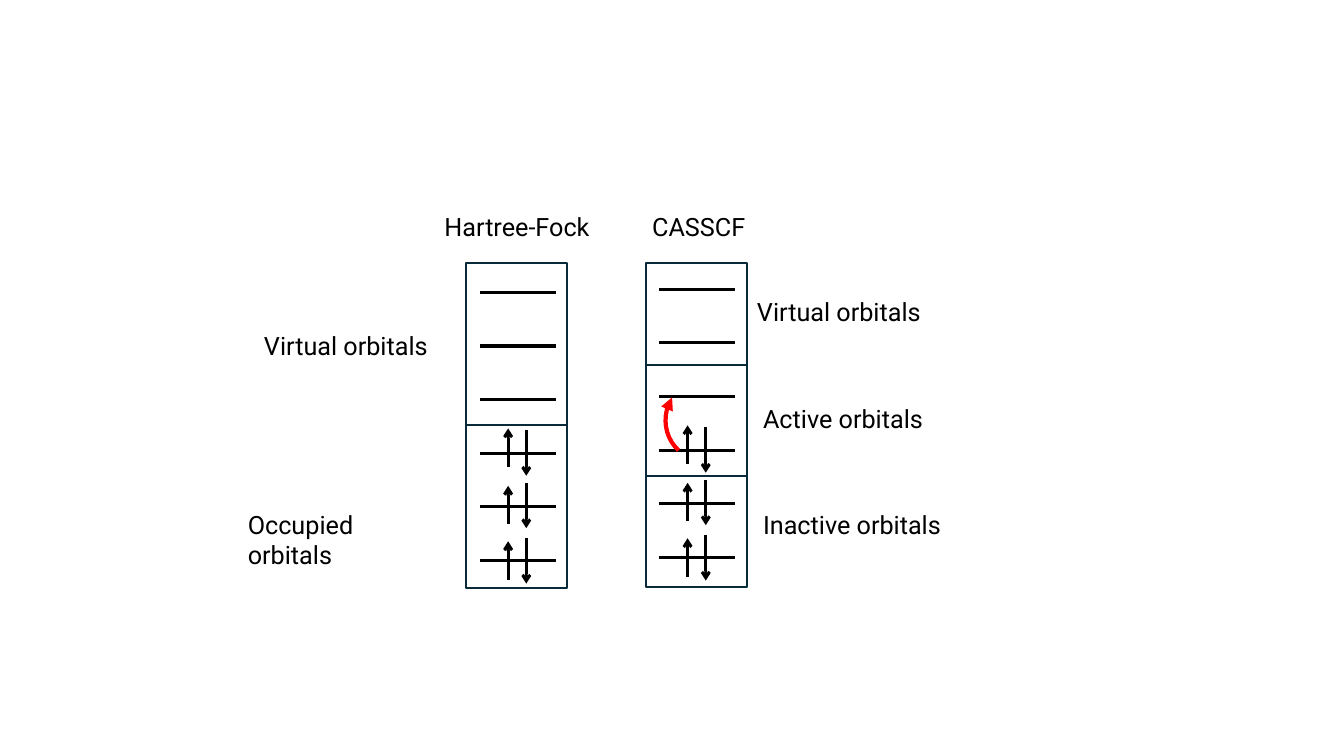
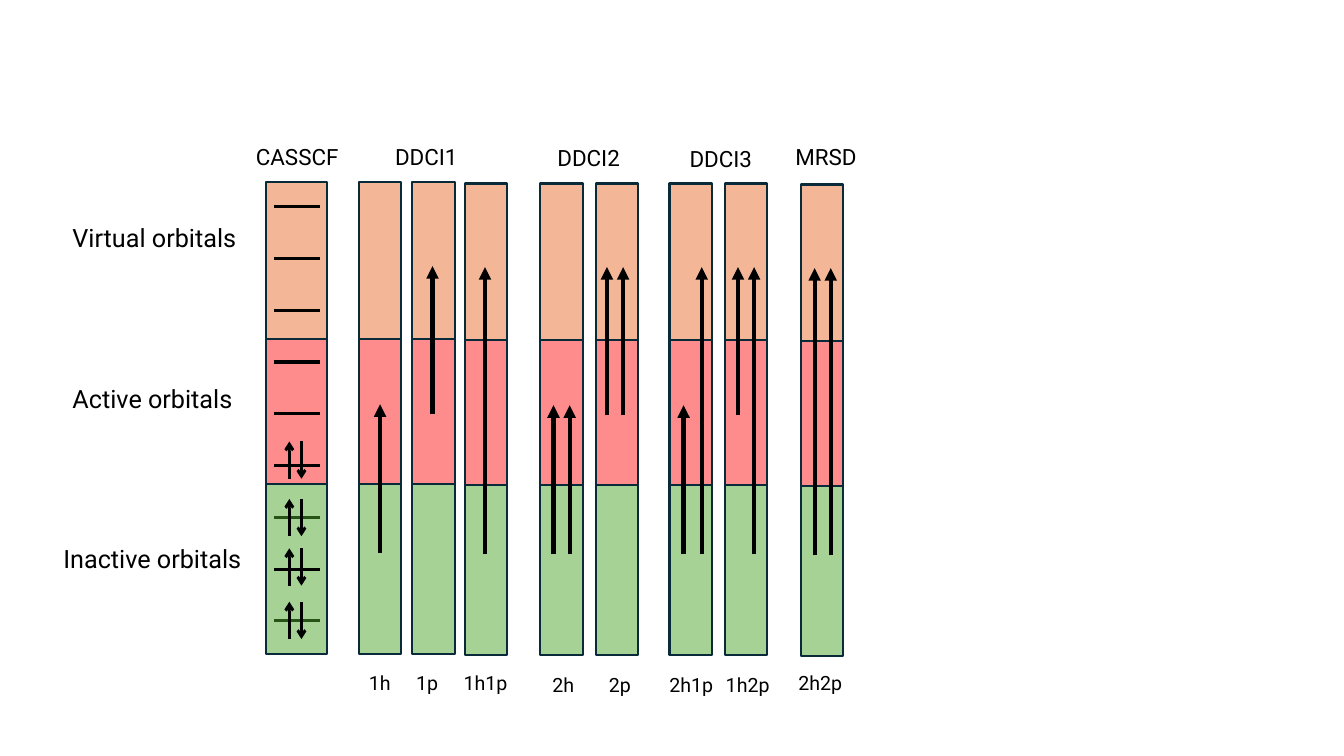
from lxml import etree
from pptx import Presentation
from pptx.dml.color import RGBColor
from pptx.enum.shapes import MSO_CONNECTOR, MSO_SHAPE
from pptx.enum.text import MSO_AUTO_SIZE
from pptx.oxml.ns import qn
from pptx.util import Inches, Pt

STRAIGHT = MSO_CONNECTOR.STRAIGHT
RECTANGLE = MSO_SHAPE.RECTANGLE
ARC = MSO_SHAPE.ARC
FIT_TEXT = MSO_AUTO_SIZE.SHAPE_TO_FIT_TEXT

FONT = "Roboto"
COLORS = {
    "ink": "000000",
    "frame": "092A39",
    "excitation": "FF0000",
    "virtual": "E97132",
    "active": "FF0000",
    "inactive": "4EA72E",
}
OPACITY = {"virtual": 50, "active": 45, "inactive": 50}
SPACES = [(1.55, "virtual"), (1.44, "active"), (1.69, "inactive")]

INACTIVE, ACTIVE_START, ACTIVE_END, VIRTUAL = 3.68, 2.3, 2.2, 0.83
HOLE = (INACTIVE, ACTIVE_END)
PARTICLE = (ACTIVE_START, VIRTUAL)
HOLE_PARTICLE = (INACTIVE, VIRTUAL)

HEADINGS = [
    ("CASSCF", 2.44, 1.37, 1.13),
    ("DDCI1", 3.82, 1.37, 0.86),
    ("DDCI2", 5.43, 1.38, 1.49),
    ("DDCI3", 6.74, 1.39, 1.49),
    ("MRSD", 7.79, 1.37, 1.49),
]
EXCITATIONS = [
    ("1h", 3.56, 1.81, 3.56, 6.61, [(0.21, HOLE)]),
    ("1p", 4.09, 1.81, 4.03, 6.61, [(0.2, PARTICLE)]),
    ("1h1p", 4.61, 1.82, 4.5, 6.61, [(0.2, HOLE_PARTICLE)]),
    ("2h", 5.36, 1.82, 5.38, 6.63, [(0.13, HOLE), (0.29, HOLE)]),
    ("2p", 5.91, 1.82, 5.94, 6.63, [(0.11, PARTICLE), (0.27, PARTICLE)]),
    ("2h1p", 6.64, 1.82, 6.54, 6.63, [(0.14, HOLE), (0.32, HOLE_PARTICLE)]),
    ("1h2p", 7.19, 1.82, 7.1, 6.63, [(0.13, PARTICLE), (0.29, HOLE_PARTICLE)]),
    ("2h2p", 7.94, 1.83, 7.82, 6.61, [(0.14, HOLE_PARTICLE), (0.3, HOLE_PARTICLE)]),
]


def color(name):
    return RGBColor.from_string(COLORS[name])


def set_arrowhead(line, kind):
    etree.SubElement(line._get_or_add_ln(), qn("a:tailEnd"), type=kind)


def add_line(shapes, x1, y1, x2, y2, weight, head=None):
    connector = shapes.add_connector(
        STRAIGHT, Inches(x1), Inches(y1), Inches(x2), Inches(y2))
    connector.line.color.rgb = color("ink")
    connector.line.width = Pt(weight)
    if head:
        set_arrowhead(connector.line, head)
    etree.SubElement(connector._element.spPr, qn("a:effectLst"))


def add_label(slide, text, left, top, width, size=18):
    label = slide.shapes.add_textbox(
        Inches(left), Inches(top), Inches(width), Inches(size / 60 + 0.1))
    frame = label.text_frame
    frame.word_wrap = True
    frame.auto_size = FIT_TEXT
    run = frame.paragraphs[0].add_run()
    run.text = text
    run.font.name = FONT
    run.font.size = Pt(size)
    run.font.color.rgb = color("ink")


def add_stack(shapes, left, top, width, spaces):
    for height, space in spaces:
        box = shapes.add_shape(
            RECTANGLE, Inches(left), Inches(top), Inches(width), Inches(height))
        box.shadow.inherit = False
        box.line.color.rgb = color("frame")
        box.line.width = Pt(1.5)
        if space:
            box.fill.solid()
            box.fill.fore_color.rgb = color(space)
            srgb = box._element.spPr.find(qn("a:solidFill")).find(qn("a:srgbClr"))
            etree.SubElement(srgb, qn("a:alpha"), val=str(OPACITY[space] * 1000))
        else:
            box.fill.background()
        top += height


def add_levels(shapes, left, width, heights):
    for y in heights:
        add_line(shapes, left, y, left + width, y, 2.25)


def add_electron_pair(shapes, up_x, up_top, up_length, down_x, down_top, down_length):
    add_line(shapes, up_x, up_top + up_length, up_x, up_top, 2, "arrow")
    add_line(shapes, down_x, down_top, down_x, down_top + down_length, 2, "arrow")


def even_levels(first, last, count):
    return [first + (last - first) * i / (count - 1) for i in range(count)]


def add_orbital_diagram(slide, left, top, title, title_left, title_width,
                        spaces, ladder_left, ladder_top):
    shapes = slide.shapes
    add_levels(shapes, ladder_left, 0.75, even_levels(ladder_top, ladder_top + 2.66, 6))
    for up_top, down_top in [(1.35, 1.37), (1.92, 1.89), (2.47, 2.44)]:
        add_electron_pair(shapes, ladder_left + 0.28, ladder_top + up_top, 0.38,
                          ladder_left + 0.46, ladder_top + down_top, 0.45)
    add_label(slide, title, title_left, top - 0.56, title_width)
    add_stack(shapes, left, top, 1, [(height, None) for height in spaces])


def add_excitation_arc(slide, left, top, width, height):
    arc = slide.shapes.add_shape(
        ARC, Inches(left), Inches(top), Inches(width), Inches(height))
    arc.adjustments[0] = 162
    arc.adjustments[1] = 208.72
    arc.rotation = 222.5
    arc.shadow.inherit = False
    arc.fill.background()
    arc.line.color.rgb = color("excitation")
    arc.line.width = Pt(3)
    set_arrowhead(arc.line, "triangle")


def add_reference_column(slide, left, top):
    shapes = slide.shapes.add_group_shape().shapes
    levels = even_levels(top + 0.24, top + 4.35, 9)
    veiled = [levels[6], levels[8]]
    add_levels(shapes, left + 0.08, 0.45, veiled)
    add_stack(shapes, left, top, 0.6, SPACES)
    add_levels(shapes, left + 0.08, 0.45, [y for y in levels if y not in veiled])
    for pair_top in (2.57, 3.14, 3.63, 4.16):
        add_electron_pair(shapes, left + 0.23, top + pair_top, 0.37,
                          left + 0.35, top + pair_top, 0.37)


def add_excitation_column(slide, name, left, top, name_left, name_top, arrows):
    add_stack(slide.shapes.add_group_shape().shapes, left, top, 0.42, SPACES)
    for offset, (start, end) in arrows:
        x = left + offset
        add_line(slide.shapes, x, top + start, x, top + end, 3, "triangle")
    add_label(slide, name, name_left, name_top, 0.86, 14)


def build_method_comparison(slide):
    add_orbital_diagram(slide, 4.62, 2.61, "Hartree-Fock", 4.31, 1.82,
                        [1.61, 1.61], 4.76, 2.9)
    add_orbital_diagram(slide, 6.41, 2.61, "CASSCF", 6.37, 1.54,
                        [1.01, 1.1, 1.1], 6.54, 2.87)
    for text, left, top, width in [
        ("Virtual orbitals", 2.52, 3.23, 1.94),
        ("Occupied orbitals", 2.36, 5, 2.13),
        ("Virtual orbitals", 7.41, 2.89, 1.94),
        ("Active orbitals", 7.47, 3.95, 2.13),
        ("Inactive orbitals", 7.47, 5, 2.13),
    ]:
        add_label(slide, text, left, top, width)
    add_excitation_arc(slide, 6.61, 3.72, 0.82, 0.86)


def build_excitation_classes(slide):
    for text, left, top in [
        ("Virtual orbitals", 0.62, 2.16),
        ("Active orbitals", 0.62, 3.75),
        ("Inactive orbitals", 0.53, 5.34),
    ]:
        add_label(slide, text, left, top, 2.21)
    add_reference_column(slide, 2.64, 1.81)
    for excitation in EXCITATIONS:
        add_excitation_column(slide, *excitation)
    for text, left, top, width in HEADINGS:
        add_label(slide, text, left, top, width, 16)


def main():
    deck = Presentation()
    deck.slide_width = Inches(13.33)
    deck.slide_height = Inches(7.5)
    blank = deck.slide_layouts[6]
    for build in (build_method_comparison, build_excitation_classes):
        build(deck.slides.add_slide(blank))
    deck.save("out.pptx")


if __name__ == "__main__":
    main()
